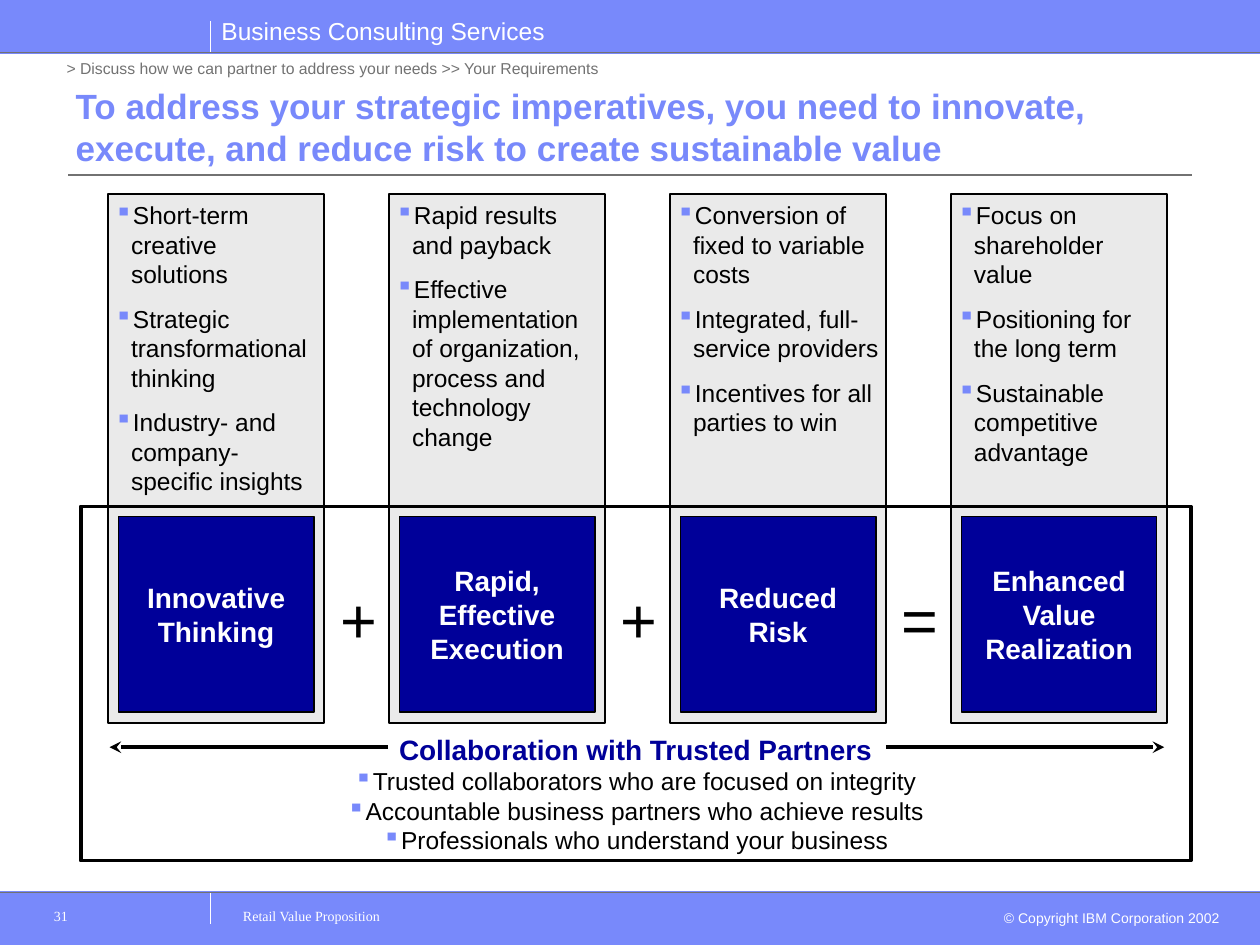
from dataclasses import dataclass

from lxml.etree import SubElement
from pptx import Presentation
from pptx.dml.color import RGBColor
from pptx.enum.shapes import MSO_CONNECTOR, MSO_SHAPE
from pptx.enum.text import MSO_ANCHOR, MSO_AUTO_SIZE, PP_ALIGN
from pptx.oxml.ns import qn
from pptx.util import Inches, Pt


@dataclass(frozen=True)
class Theme:
    sans: str = "Arial"
    serif: str = "Times New Roman"
    blue: str = "7889FB"
    navy: str = "000099"
    pale: str = "EAEAEA"
    gray: str = "727272"
    white: str = "FFFFFF"
    black: str = "000000"
    title: int = 20
    head: int = 16
    body: int = 14
    crumb: int = 9
    foot: int = 8
    sign: int = 36


class Page:
    def __init__(self, deck, theme):
        self.theme = theme
        self.slide = deck.slides.add_slide(deck.slide_layouts[5])

    def style(self, para, size, color, bold=False, face=None, align=PP_ALIGN.LEFT):
        para.alignment = align
        font = para.font
        font.name = face or self.theme.sans
        font.size = Pt(size)
        font.bold = bold
        font.color.rgb = RGBColor.from_string(color)

    def inset(self, frame, side=0.1):
        frame.margin_left = frame.margin_right = Inches(side)
        frame.margin_top = frame.margin_bottom = Inches(0.05)

    def title(self, text, left, top, width, height):
        box = self.slide.shapes.title
        box.left, box.top = Inches(left), Inches(top)
        box.width, box.height = Inches(width), Inches(height)
        frame = box.text_frame
        frame.text = text
        frame.auto_size = MSO_AUTO_SIZE.NONE
        frame.vertical_anchor = MSO_ANCHOR.BOTTOM
        self.inset(frame)
        self.style(frame.paragraphs[0], self.theme.title, self.theme.blue, True)

    def text(self, text, left, top, width, height, size, color, **look):
        box = self.slide.shapes.add_textbox(
            Inches(left), Inches(top), Inches(width), Inches(height))
        frame = box.text_frame
        frame.word_wrap = True
        self.inset(frame)
        frame.text = text
        self.style(frame.paragraphs[0], size, color, **look)

    def rect(self, left, top, width, height, fill, line, weight):
        box = self.slide.shapes.add_shape(
            MSO_SHAPE.RECTANGLE,
            Inches(left), Inches(top), Inches(width), Inches(height))
        box.shadow.inherit = False
        if fill:
            box.fill.solid()
            box.fill.fore_color.rgb = RGBColor.from_string(fill)
        else:
            box.fill.background()
        box.line.color.rgb = RGBColor.from_string(line)
        box.line.width = Pt(weight)
        frame = box.text_frame
        frame.word_wrap = True
        self.inset(frame)
        return frame

    def line(self, x1, y1, x2, y2, color, weight, arrow=False):
        line = self.slide.shapes.add_connector(
            MSO_CONNECTOR.STRAIGHT,
            Inches(x1), Inches(y1), Inches(x2), Inches(y2))
        line.line.color.rgb = RGBColor.from_string(color)
        line.line.width = Pt(weight)
        if arrow:
            SubElement(line.line._get_or_add_ln(), qn("a:tailEnd"), type="stealth")
        SubElement(line._element.spPr, qn("a:effectLst"))

    def bullet(self, para, text, align=PP_ALIGN.LEFT):
        para.text = text
        props = para._p.get_or_add_pPr()
        props.set("marL", str(Inches(0.13)))
        props.set("indent", str(-Inches(0.13)))
        tint = SubElement(props, qn("a:buClr"))
        SubElement(tint, qn("a:srgbClr"), val=self.theme.blue)
        SubElement(props, qn("a:buChar"), char="▪")
        self.style(para, self.theme.body, self.theme.black, align=align)

    def column(self, left, items):
        frame = self.rect(left, 1.54, 1.71, 4.2, self.theme.pale, self.theme.black, 1)
        frame.vertical_anchor = MSO_ANCHOR.TOP
        self.inset(frame, 0.05)
        for i, item in enumerate(items):
            para = frame.add_paragraph() if i else frame.paragraphs[0]
            self.bullet(para, item)
            if i:
                para.space_before = Pt(8.8)

    def tile(self, left, text):
        frame = self.rect(left, 4.1, 1.55, 1.55, self.theme.navy, self.theme.black, 1)
        frame.vertical_anchor = MSO_ANCHOR.MIDDLE
        frame.text = text
        self.style(frame.paragraphs[0], self.theme.head, self.theme.white, True,
                   align=PP_ALIGN.CENTER)

    def panel(self, head, items):
        frame = self.rect(0.64, 4.02, 8.81, 2.81, None, self.theme.black, 2.25)
        frame.word_wrap = False
        frame.vertical_anchor = MSO_ANCHOR.BOTTOM
        frame.text = head
        self.style(frame.paragraphs[0], self.theme.head, self.theme.navy, True,
                   align=PP_ALIGN.CENTER)
        for item in items:
            self.bullet(frame.add_paragraph(), item, PP_ALIGN.CENTER)


PILLARS = [
    ("Innovative Thinking", ["Short-term creative solutions",
                             "Strategic transformational thinking",
                             "Industry- and company-specific insights"]),
    ("Rapid, Effective Execution", [
        "Rapid results and payback",
        "Effective implementation\vof organization, process and technology change"]),
    ("Reduced Risk", ["Conversion of fixed to variable costs",
                      "Integrated, full-service providers",
                      "Incentives for all parties to win"]),
    ("Enhanced Value Realization", ["Focus on shareholder value",
                                    "Positioning for the long term",
                                    "Sustainable competitive advantage"]),
]
PARTNERS = ["Trusted collaborators who are focused on integrity",
            "Accountable business partners who achieve results",
            "Professionals who understand your business"]
PITCH = 2.23


def main():
    deck = Presentation()
    deck.slide_width, deck.slide_height = Inches(10), Inches(7.5)
    theme = Theme()
    page = Page(deck, theme)

    for top in (7.08, 0):
        page.rect(0, top, 10, 0.42, theme.blue, theme.blue, 0.75)
    for top in (0.17, 7.08):
        page.line(1.67, top + 0.25, 1.67, top, theme.white, 0.75)
    for edge in (0.42, 7.08):
        page.line(0, edge, 10, edge, theme.gray, 0.5)
    page.line(0.54, 1.39, 9.46, 1.39, theme.gray, 0.75)
    page.text("Business Consulting Services", 1.66, 0.08, 2.9, 0.34,
              theme.body, theme.white)
    page.text("© Copyright IBM Corporation 2002", 7.73, 7.17, 2.05, 0.24,
              theme.foot, theme.white, align=PP_ALIGN.RIGHT)
    page.title("To address your strategic imperatives, you need to innovate, "
               "execute, and reduce risk to create sustainable value",
               0.5, 0.58, 9, 0.81)

    for i, (name, items) in enumerate(PILLARS):
        page.column(0.86 + i * PITCH, items)
    for i, (name, items) in enumerate(PILLARS):
        page.tile(0.94 + i * PITCH, name)
    for i, sign in enumerate("++="):
        page.text(sign, 2.6 + i * PITCH, 4.56, 0.45, 0.7, theme.sign, theme.black,
                  align=PP_ALIGN.CENTER)

    page.panel("Collaboration with Trusted Partners", PARTNERS)
    for start, end in ((3.08, 0.87), (7.03, 9.24)):
        page.line(start, 5.93, end, 5.93, theme.black, 2.25, arrow=True)

    page.text("> Discuss how we can partner to address your needs >> Your Requirements",
              0.43, 0.42, 4.5, 0.25, theme.crumb, theme.gray)
    for text, left, width in (("Retail Value Proposition", 1.83, 4.5), ("31", 0.33, 1.33)):
        page.text(text, left, 7.15, width, 0.35, theme.foot, theme.white,
                  face=theme.serif)

    deck.save("out.pptx")


if __name__ == "__main__":
    main()
